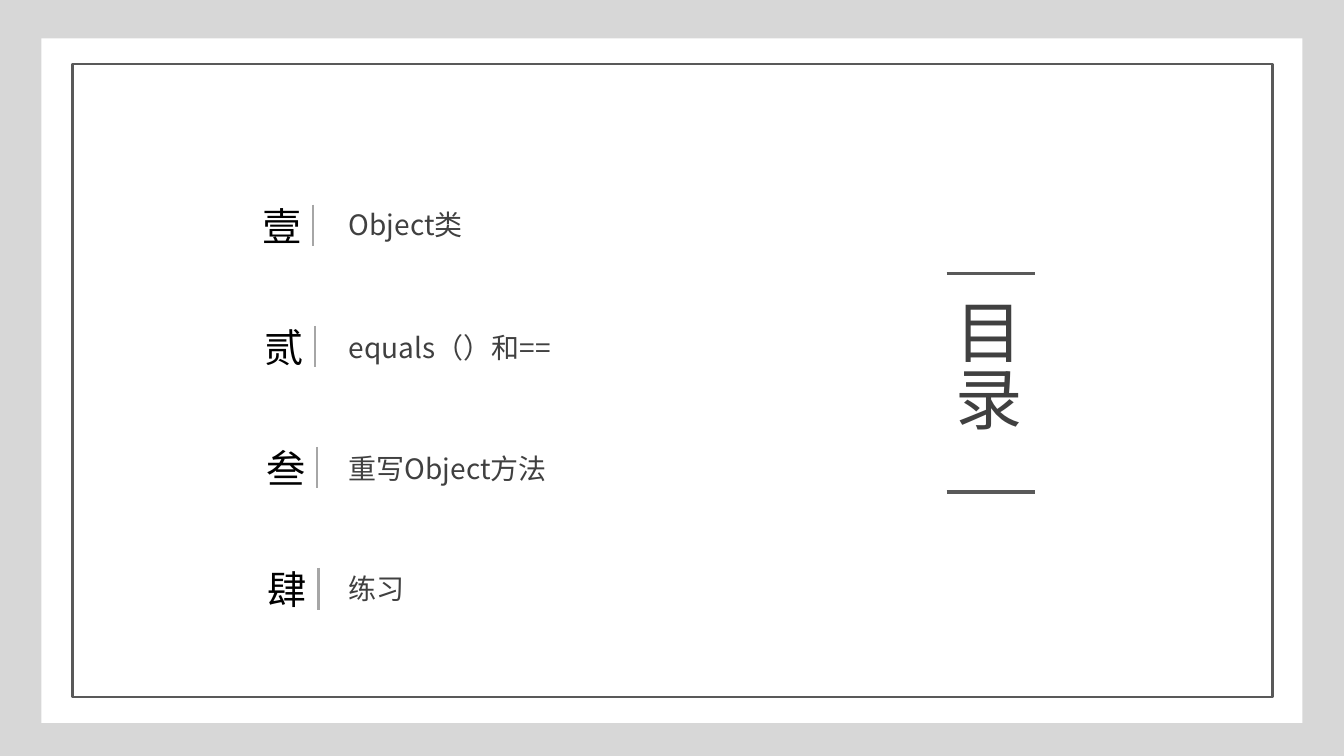
"""Build a contents slide with four numbered entries and a vertical heading."""
from lxml import etree
from pptx import Presentation
from pptx import util as u
from pptx.dml import color
from pptx.enum import shapes, text
from pptx.oxml import ns

THEME = {
    "font": "Noto Sans CJK SC",
    "surround": "D7D7D7", "paper": "FFFFFF", "rule": "595959", "divider": "A6A6A6",
    "numeral": {"size": 28, "color": "000000", "leading": 35},
    "entry": {"size": 20, "color": "404040", "leading": 25},
    "heading": {"size": 48, "color": "404040", "leading": 60},
}
ENTRIES = [("壹", "Object类", 0), ("贰", "equals（）和==", 63.5),
           ("叁", "重写Object方法", 61), ("肆", "练习", 60.5)]
PITCH, DRIFT = 86.5, 1.2


def write(paragraph, wording, style, **layout):
    """Put one styled run in a paragraph and apply its layout values."""
    run = paragraph.add_run()
    run.text = wording
    values = {"size": u.Pt(style["size"]), "name": THEME["font"], "bold": False}
    for name, value in values.items():
        setattr(run.font, name, value)
    run.font.color.rgb = color.RGBColor.from_string(style["color"])
    etree.SubElement(run.font._element, ns.qn("a:ea"), typeface=THEME["font"])
    for name, value in {"line_spacing": u.Pt(style["leading"]), **layout}.items():
        setattr(paragraph, name, value)


def rule(x1, y1, x2, y2, tint, width):
    """Draw one straight line without a shadow."""
    line = slide.shapes.add_connector(shapes.MSO_CONNECTOR.STRAIGHT,
                                      u.Pt(x1), u.Pt(y1), u.Pt(x2), u.Pt(y2))
    line.line.color.rgb = color.RGBColor.from_string(tint)
    line.line.width = u.Pt(width)
    etree.SubElement(line.element.spPr, ns.qn("a:effectLst"))


deck = Presentation()
deck.slide_width, deck.slide_height = u.Pt(960), u.Pt(540)
slide = deck.slides.add_slide(deck.slide_layouts[1])
heading, entries = slide.shapes.title, slide.placeholders[1]

for box, fill, outline in [((0, 0, 960, 540), THEME["surround"], None),
                           ((29.5, 27.4, 900.7, 488.9), THEME["paper"], None),
                           ((51.8, 45.7, 857.2, 452.2), None, THEME["rule"])]:
    panel = slide.shapes.add_shape(shapes.MSO_SHAPE.RECTANGLE, *map(u.Pt, box))
    panel.shadow.inherit = False
    for part, tint in ((panel.fill, fill), (panel.line.fill, outline)):
        if tint:
            part.solid()
            part.fore_color.rgb = color.RGBColor.from_string(tint)
        else:
            part.background()
    if outline:
        panel.line.width = u.Pt(1.5)

for part, box in ((entries, (241.9, 143.3, 223.2, 300)),
                  (heading, (670.3, 209.5, 72.7, 128.9))):
    slide.shapes.element.append(part.element)
    for side, value in zip(("left", "top", "width", "height"), box):
        setattr(part, side, u.Pt(value))
    frame_format = {"word_wrap": True, "auto_size": text.MSO_AUTO_SIZE.NONE,
                    "vertical_anchor": text.MSO_ANCHOR.TOP}
    for name, value in frame_format.items():
        setattr(part.text_frame, name, value)

for row, (numeral, entry, gap) in enumerate(ENTRIES):
    shift, drop = row * DRIFT, row * PITCH
    marker = slide.shapes.add_textbox(u.Pt(180.7 + shift), u.Pt(139.7 + drop),
                                      u.Pt(38.2), u.Pt(41))
    marker.text_frame.word_wrap = True
    write(marker.text_frame.paragraphs[0], numeral, THEME["numeral"])
    rule(223.9 + shift, 146.2 + drop, 223.9 + shift, 175.9 + drop, THEME["divider"], 1.5)

    line = entries.text_frame.paragraphs[0] if row == 0 else entries.text_frame.add_paragraph()
    write(line, entry, THEME["entry"], space_before=u.Pt(gap))
    properties = line._element.get_or_add_pPr()
    for name in ("marL", "indent"):
        properties.set(name, "0")
    etree.SubElement(properties, ns.qn("a:buNone"))

heading.text_frame._element.bodyPr.set("vert", "eaVert")
write(heading.text_frame.paragraphs[0], "目录", THEME["heading"],
      alignment=text.PP_ALIGN.JUSTIFY)
for y in (195.1, 351.4):
    rule(676.1, y, 739.4, y, THEME["rule"], 2.25)

deck.save("out.pptx")
